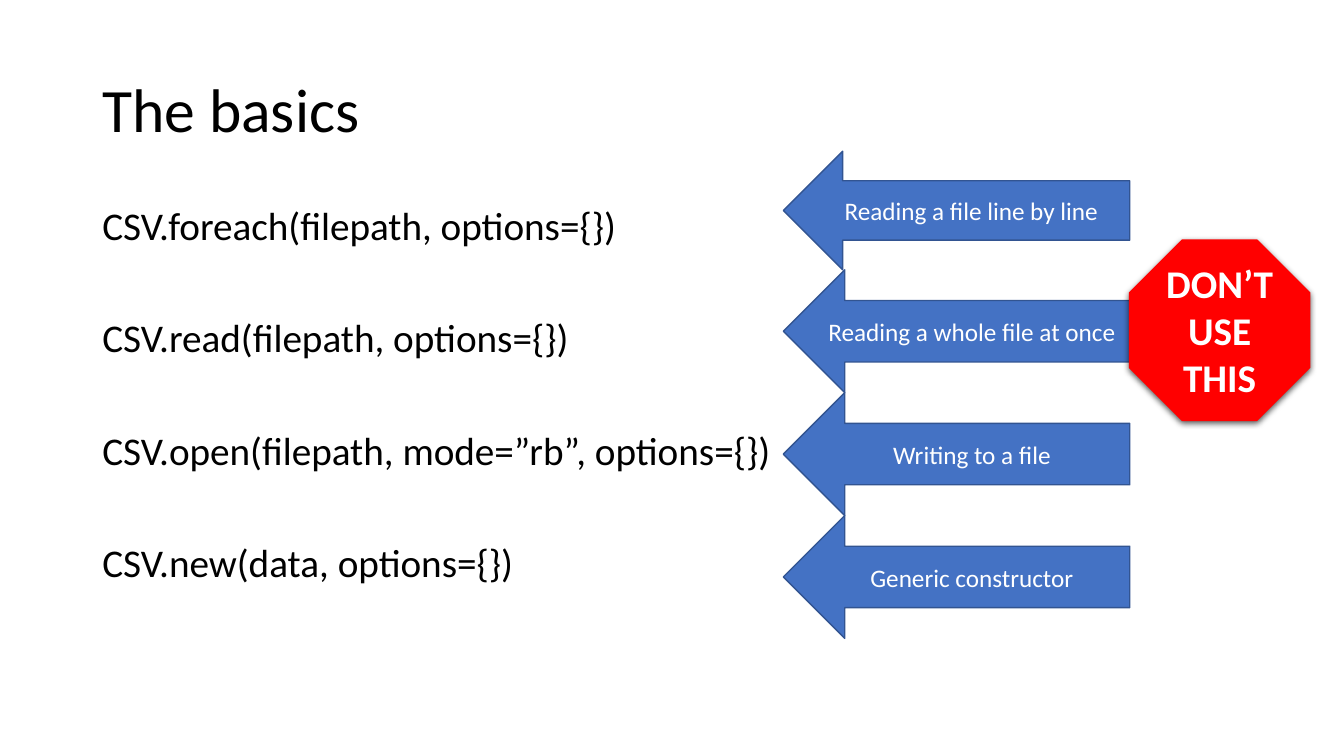
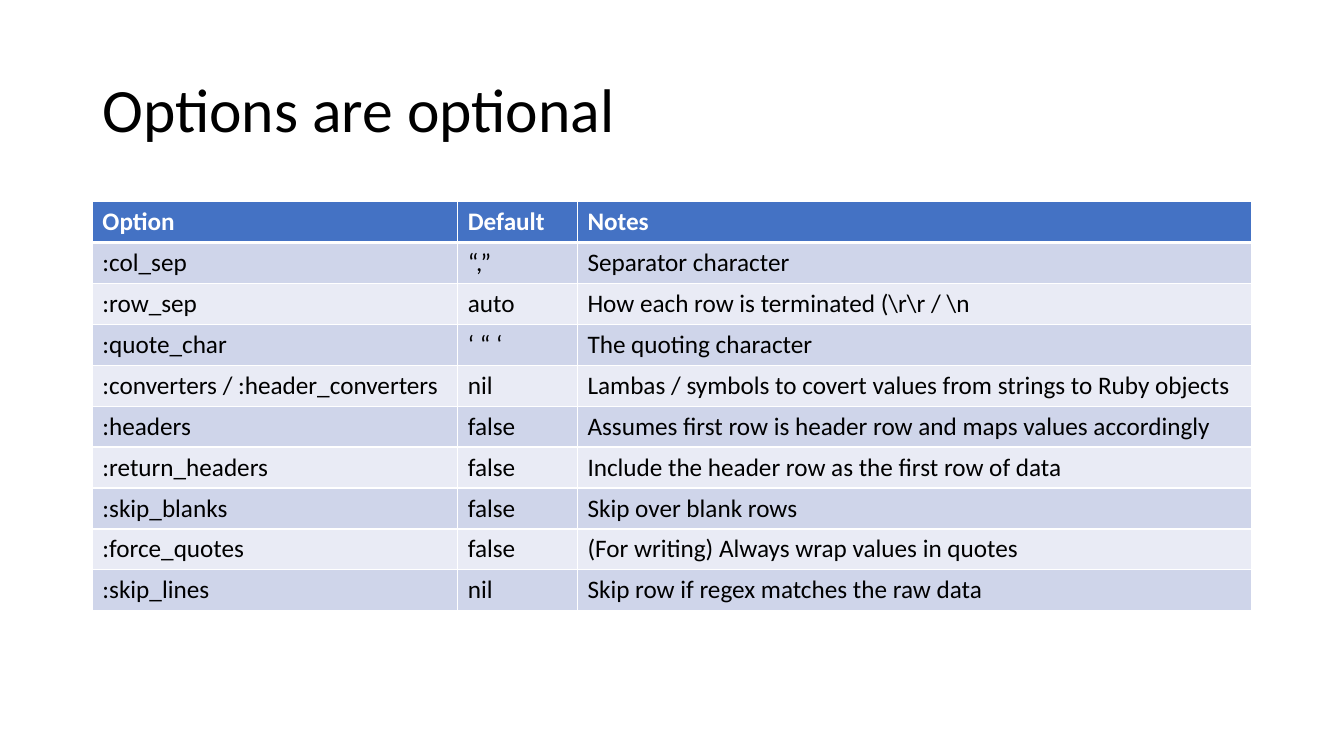
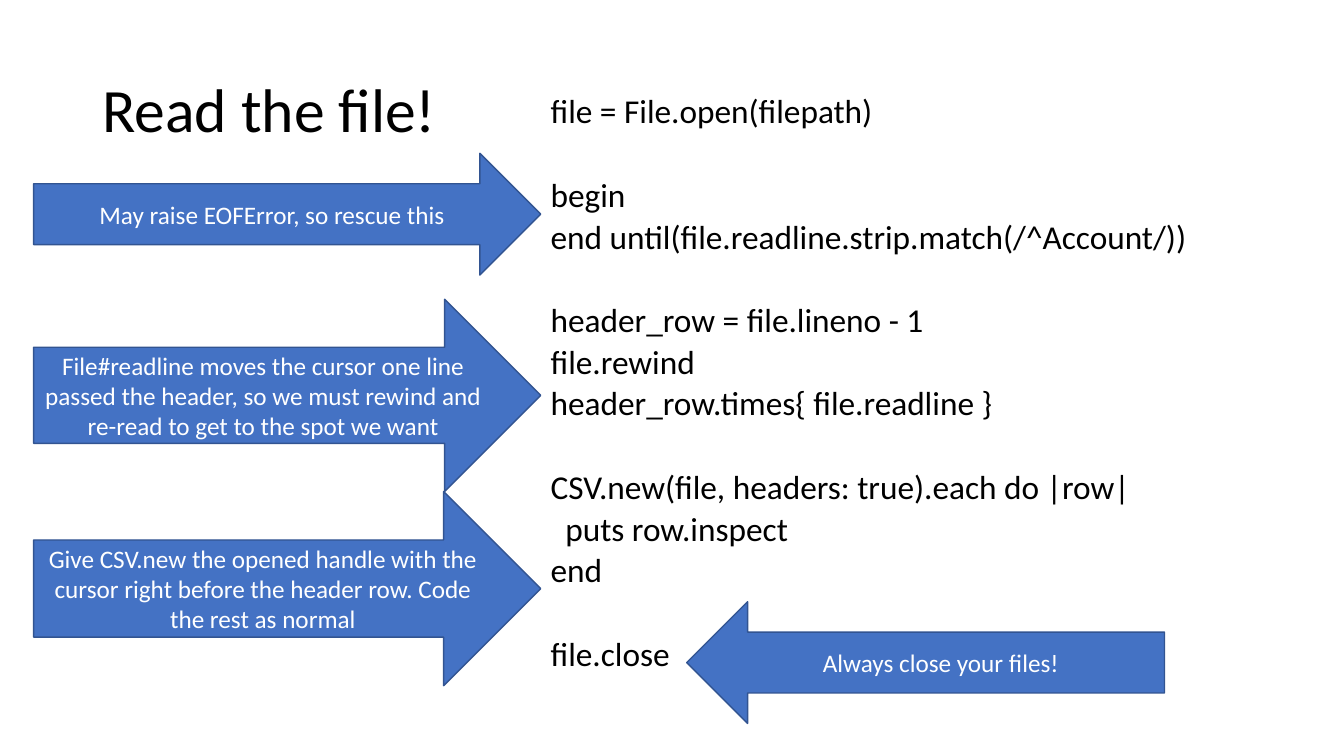
from lxml import etree
from pptx import Presentation
from pptx import util as u
from pptx.dml.color import RGBColor
from pptx.enum import shapes, text
from pptx.oxml import parse_xml
from pptx.oxml.ns import nsdecls, qn

PX = 9525
FONT = "Calibri"
COLORS = {
    "ink": "000000",
    "white": "FFFFFF",
    "blue": "4472C4",
    "outline": "325491",
    "red": "FF0000",
    "band_dark": "CFD5EA",
    "band_light": "E9EBF5",
}
LEFT, WIDTH = 88, 1104


def write(frame, lines, size, color="ink", bold=False, spacing=1.0, align=text.PP_ALIGN.LEFT):
    frame.word_wrap = True
    for index, line in enumerate(lines):
        para = frame.paragraphs[0] if index == 0 else frame.add_paragraph()
        para.text = line
        para.alignment = align
        para.line_spacing = spacing
        para.font.name = FONT
        para.font.size = u.Pt(size)
        para.font.bold = bold
        para.font.color.rgb = RGBColor.from_string(COLORS[color])


def add_callout(page, kind, bounds, label, fill="blue", outline="outline", size=18, bold=False):
    shape = page.shapes.add_shape(kind, *[value * PX for value in bounds])
    shape.shadow.inherit = False
    shape.fill.solid()
    shape.fill.fore_color.rgb = RGBColor.from_string(COLORS[fill])
    if outline:
        shape.line.color.rgb = RGBColor.from_string(COLORS[outline])
        shape.line.width = u.Pt(1)
    else:
        shape.line.fill.background()
    shape.text_frame.vertical_anchor = text.MSO_ANCHOR.MIDDLE
    write(shape.text_frame, [label], size, "white", bold, align=text.PP_ALIGN.CENTER)
    return shape


deck = Presentation()
deck.slide_width = 1280 * PX
deck.slide_height = 720 * PX

pages = []
for title in ["The basics", "Options are optional", "Read the file!"]:
    page = deck.slides.add_slide(deck.slide_layouts[6])
    box = page.shapes.add_textbox(LEFT * PX, 38 * PX, WIDTH * PX, 139 * PX)
    box.text_frame.vertical_anchor = text.MSO_ANCHOR.MIDDLE
    write(box.text_frame, [title], 44, spacing=0.9)
    pages.append(page)
basics, options, reading = pages

calls = [
    "CSV.foreach(filepath, options={})",
    "CSV.read(filepath, options={})",
    "CSV.open(filepath, mode=”rb”, options={})",
    "CSV.new(data, options={})",
]
box = basics.shapes.add_textbox(LEFT * PX, 192 * PX, WIDTH * PX, 457 * PX)
write(box.text_frame, calls, 28, spacing=0.9)
for para in box.text_frame.paragraphs[1:]:
    para.space_before = u.Pt(50)

purposes = [
    (144, 113, "Reading a file line by line"),
    (257, 117, "Reading a whole file at once"),
    (374, 117, "Writing to a file"),
    (491, 117, "Generic constructor"),
]
for top, height, label in purposes:
    add_callout(basics, shapes.MSO_SHAPE.LEFT_ARROW, (746, top, 330, height), label)

stop_sign = add_callout(
    basics, shapes.MSO_SHAPE.OCTAGON, (1075, 228, 173, 173),
    "DON’T USE THIS", fill="red", outline=None, size=28, bold=True,
)
stop_sign._element.spPr.find(qn("a:effectLst")).append(parse_xml(
    f'<a:outerShdw {nsdecls("a")} blurRad="57150" dist="19050" dir="5400000" '
    f'algn="ctr" rotWithShape="0"><a:srgbClr val="{COLORS["ink"]}">'
    '<a:alpha val="63000"/></a:srgbClr></a:outerShdw>'
))

rows = [
    ("Option", "Default", "Notes"),
    (":col_sep", "“,”", "Separator character"),
    (":row_sep", "auto", "How each row is terminated (\\r\\r / \\n"),
    (":quote_char", "‘ “ ‘", "The quoting character"),
    (":converters / :header_converters", "nil",
     "Lambas / symbols to covert values from strings to Ruby objects"),
    (":headers", "false", "Assumes first row is header row and maps values accordingly"),
    (":return_headers", "false", "Include the header row as the first row of data"),
    (":skip_blanks", "false", "Skip over blank rows"),
    (":force_quotes", "false", "(For writing) Always wrap values in quotes"),
    (":skip_lines", "nil", "Skip row if regex matches the raw data"),
]
widths = [348, 114, 642]
row_height = 39
table = options.shapes.add_table(
    len(rows), len(widths), LEFT * PX, 192 * PX, WIDTH * PX, len(rows) * row_height * PX
).table
for column, width in zip(table.columns, widths):
    column.width = width * PX
for row_index, values in enumerate(rows):
    table.rows[row_index].height = row_height * PX
    header = row_index == 0
    fill = "blue" if header else ("band_light", "band_dark")[row_index % 2]
    for column_index, value in enumerate(values):
        cell = table.cell(row_index, column_index)
        write(cell.text_frame, [value], 18, "white" if header else "ink", header)
        properties = cell._tc.get_or_add_tcPr()
        for side in "LRTB":
            heavy = (row_index, side) in [(0, "B"), (1, "T")]
            border = etree.SubElement(properties, qn(f"a:ln{side}"), w=str(u.Pt(3 if heavy else 1)))
            paint = etree.SubElement(border, qn("a:solidFill"))
            etree.SubElement(paint, qn("a:srgbClr"), val=COLORS["white"])
        cell.fill.solid()
        cell.fill.fore_color.rgb = RGBColor.from_string(COLORS[fill])

code_blocks = [
    ["file = File.open(filepath)"],
    ["begin", "end until(file.readline.strip.match(/^Account/))"],
    ["header_row = file.lineno - 1", "file.rewind", "header_row.times{ file.readline }"],
    ["CSV.new(file, headers: true).each do |row|", "puts row.inspect", "end"],
    ["file.close"],
]
box = reading.shapes.add_textbox(515 * PX, 92 * PX, 678 * PX, 609 * PX)
write(box.text_frame, [line for block in code_blocks for line in block], 23.8, spacing=0.7)
block_starts = [block[0] for block in code_blocks]
for para in box.text_frame.paragraphs[1:]:
    para.space_before = u.Pt(39.7 if para.text in block_starts else 9.7)
    if para.text.startswith("puts"):
        para._p.get_or_add_pPr().set("marL", str(14 * PX))

steps = [
    (146, 116, "May raise EOFError, so rescue this"),
    (285, 183, "File#readline moves the cursor one line passed the header, "
               "so we must rewind and re-read to get to the spot we want"),
    (468, 185, "Give CSV.new the opened handle with the cursor right before "
               "the header row. Code the rest as normal"),
]
for top, height, label in steps:
    add_callout(reading, shapes.MSO_SHAPE.RIGHT_ARROW, (32, top, 483, height), label)
add_callout(reading, shapes.MSO_SHAPE.LEFT_ARROW, (654, 573, 455, 116), "Always close your files!")

deck.save("out.pptx")
